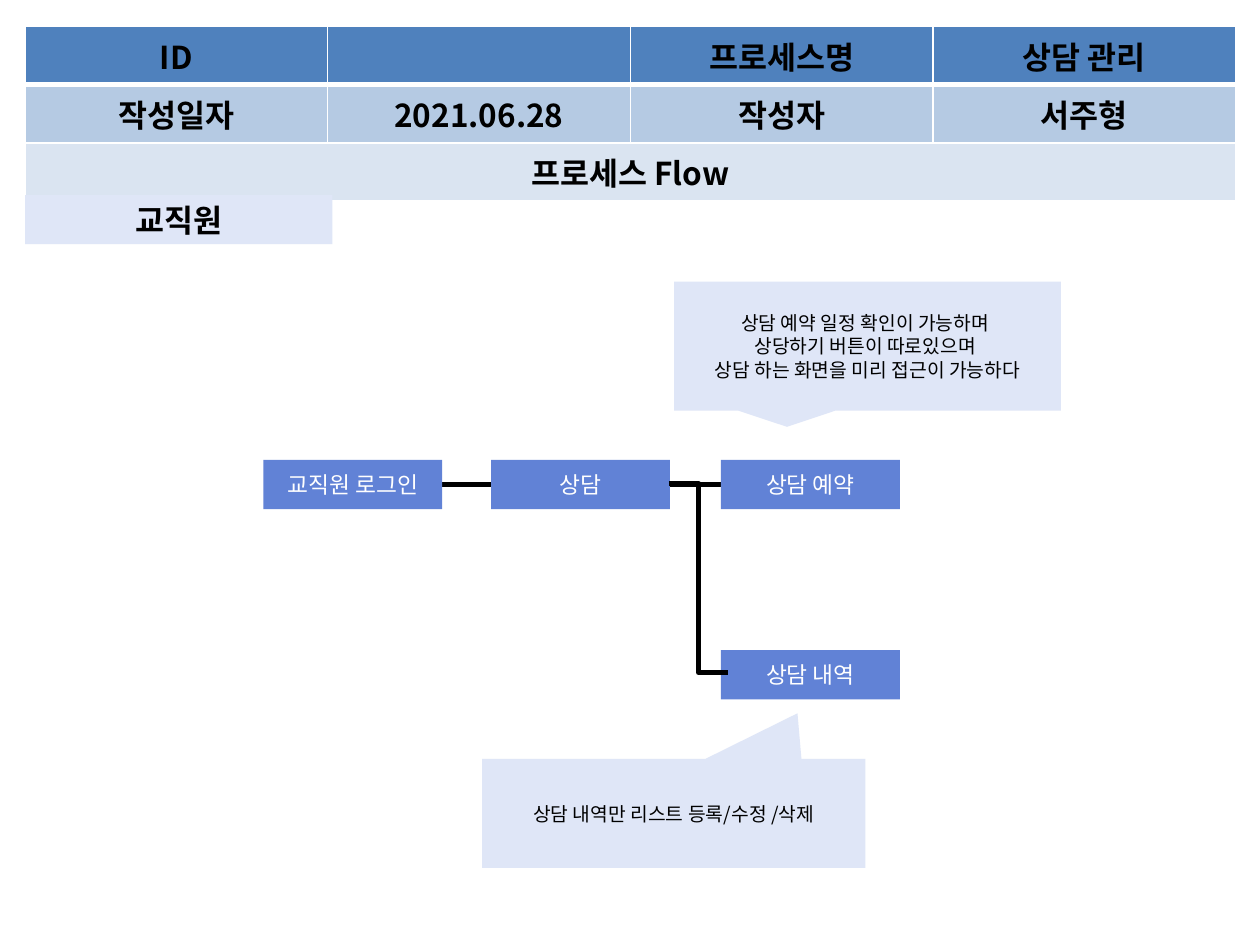
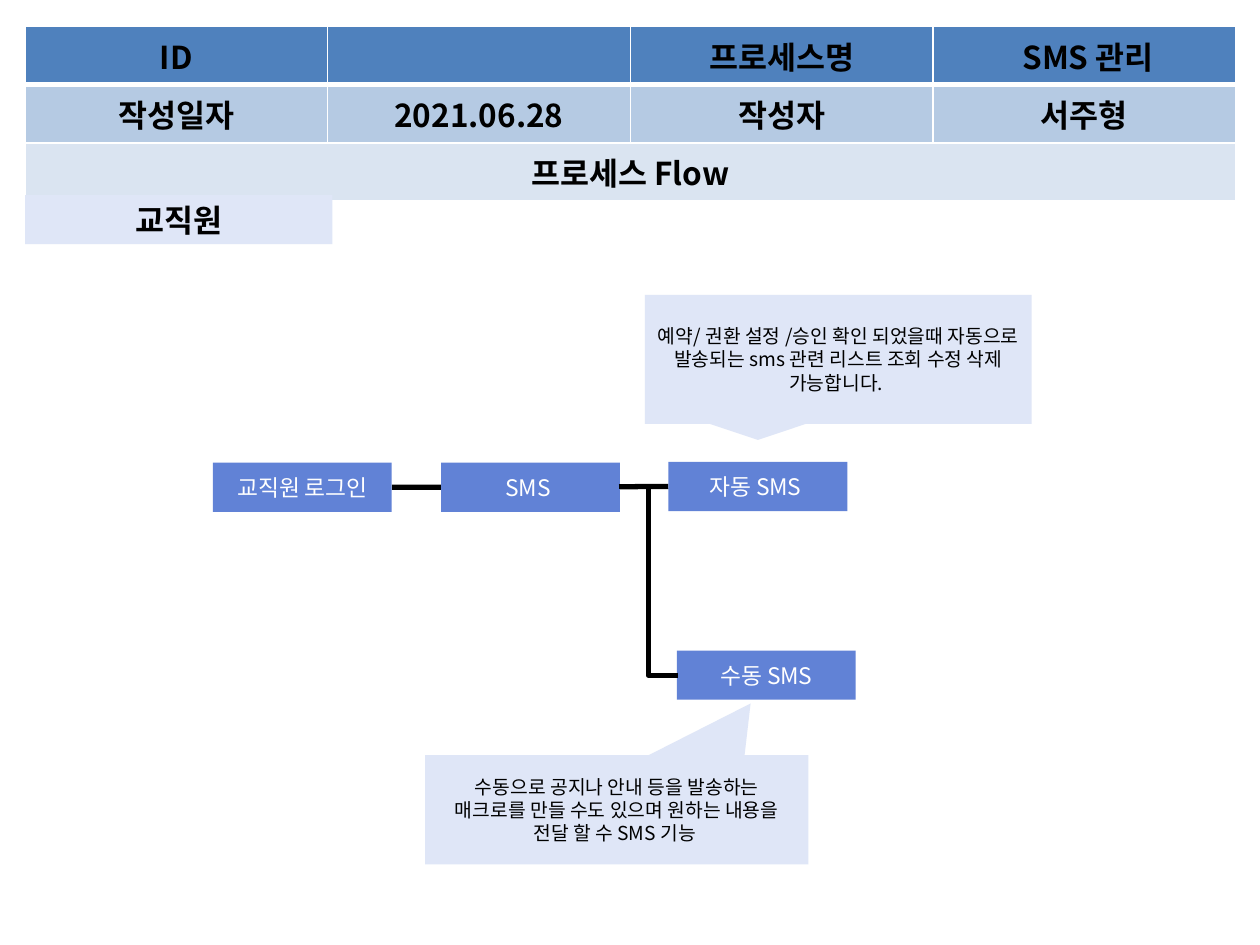
"""Build two process-flow slides for a school administration system."""
from dataclasses import dataclass

from lxml import etree
from pptx import Presentation
from pptx.dml.color import RGBColor
from pptx.enum import shapes, text
from pptx.oxml import ns
from pptx.util import Pt


@dataclass(frozen=True)
class Theme:
    """Colours, type sizes and line widths."""
    font: str = "Noto Sans CJK KR"
    black: str = "000000"
    white: str = "FFFFFF"
    rows: tuple = ("4F81BD", "B5CAE3", "DAE4F1")
    step: str = "6182D6"
    pale: str = "DFE6F7"
    title_size: int = 18
    step_size: int = 13
    note_size: int = 11
    link_width: int = 3


THEME = Theme()
LEFT = 14.4
STEP_WIDTH, STEP_HEIGHT = 102.2, 28.1
COLUMNS = (73.4, 99.4, 173, 173, 173)
ROW_HEIGHT = 29.2
BRANCH_WIDTH, BRANCH_DROP, BRANCH_OVERLAP = 33.8, 108, 0.6

FLOWS = (
    {
        "name": "상담 관리",
        "steps": (
            ("교직원 로그인", 150.5, 262.8),
            ("상담", 280.7, 262.8),
            ("상담 예약", 412, 262.8),
            ("상담 내역", 412, 371.5),
        ),
        "notes": (
            ("상담 예약 일정 확인이 가능하며 \n상당하기 버튼이 따로있으며 \v상담 하는 화면을 미리 접근이 가능하다",
             (385.2, 161, 221, 73.7), (-0.208, 0.625)),
            ("상담 내역만 리스트 등록/수정 /삭제",
             (275.5, 433.6, 219, 62.4), (0.323, -0.917)),
        ),
    },
    {
        "name": " SMS 관리",
        "steps": (
            ("교직원 로그인", 121.7, 264.4),
            ("SMS ", 252, 264.4),
            ("자동 SMS ", 382, 264),
            ("수동 SMS", 386.8, 371.8),
        ),
        "notes": (
            ("예약/ 권환 설정 /승인 확인 되었을때 자동으로 발송되는 sms 관련 리스트 조회 수정 삭제 가능합니다. ",
             (368.6, 168.5, 221, 73.7), (-0.208, 0.625)),
            ("수동으로 공지나 안내 등을 발송하는 매크로를 만들 수도 있으며 원하는 내용을 전달 할 수 SMS 기능 ",
             (243, 431.5, 219, 62.4), (0.349, -0.973)),
        ),
    },
)


def write(frame, words, size, color, bold=False):
    """Fill a text frame with centred, formatted words."""
    frame.text = words
    for para in frame.paragraphs:
        para.alignment = text.PP_ALIGN.CENTER
        for span in para.runs:
            span.font.size = Pt(size)
            span.font.bold = bold
            span.font.color.rgb = RGBColor.from_string(color)
            span.font.name = THEME.font
            east = etree.SubElement(span.font._element, ns.qn("a:ea"))
            east.set("typeface", THEME.font)


def add_box(page, kind, place, fill, words, size, color, bold=False):
    """Add a filled shape without outline that holds centred words."""
    box = page.shapes.add_shape(kind, *map(Pt, place))
    box.shadow.inherit = False
    box.fill.solid()
    box.fill.fore_color.rgb = RGBColor.from_string(fill)
    box.line.fill.background()
    box.text_frame.word_wrap = True
    box.text_frame.vertical_anchor = text.MSO_ANCHOR.MIDDLE
    write(box.text_frame, words, size, color, bold)
    return box


def add_step(page, words, left, top):
    """Add one step of the process."""
    add_box(page, shapes.MSO_SHAPE.RECTANGLE, (left, top, STEP_WIDTH, STEP_HEIGHT),
            THEME.step, words, THEME.step_size, THEME.white)


def add_note(page, words, place, tip):
    """Add a callout whose tip lies at the given share of its size."""
    note = add_box(page, shapes.MSO_SHAPE.RECTANGULAR_CALLOUT, place,
                   THEME.pale, words, THEME.note_size, THEME.black)
    for index, share in enumerate(tip):
        note.adjustments[index] = share


def add_link(page, kind, start, end):
    """Add a black connector between two points."""
    link = page.shapes.add_connector(kind, *map(Pt, (*start, *end)))
    link.line.color.rgb = RGBColor.from_string(THEME.black)
    link.line.width = Pt(THEME.link_width)
    etree.SubElement(link._element.spPr, ns.qn("a:effectLst"))


def set_borders(cell, top, bottom):
    """Draw white borders round a cell, with its top and bottom widths given."""
    properties = cell._tc.get_or_add_tcPr()
    widths = {"lnL": 1, "lnR": 1, "lnT": top, "lnB": bottom}
    for index, (side, width) in enumerate(widths.items()):
        border = etree.Element(ns.qn(f"a:{side}"), w=str(Pt(width)))
        fill = etree.SubElement(border, ns.qn("a:solidFill"))
        etree.SubElement(fill, ns.qn("a:srgbClr"), val=THEME.white)
        properties.insert(index, border)


def add_header(page, name):
    """Add the table that identifies the process."""
    rows = (
        ("ID", "", "", "프로세스명", name),
        ("작성일자", "", "2021.06.28", "작성자", "서주형"),
        ("프로세스 Flow", "", "", "", ""),
    )
    place = (LEFT, 15.1, sum(COLUMNS), ROW_HEIGHT * len(rows))
    table = page.shapes.add_table(len(rows), len(COLUMNS), *map(Pt, place)).table
    table.first_row = table.horz_banding = False
    for column, width in zip(table.columns, COLUMNS):
        column.width = Pt(width)
    for row, words in enumerate(rows):
        table.rows[row].height = Pt(ROW_HEIGHT)
        for column, word in enumerate(words):
            cell = table.cell(row, column)
            cell.fill.solid()
            cell.fill.fore_color.rgb = RGBColor.from_string(THEME.rows[row])
            set_borders(cell, 3 if row == 1 else 1, 3 if row == 0 else 1)
            if word:
                write(cell.text_frame, word, THEME.title_size, THEME.black, True)
    for row, last in enumerate((1, 1, 4)):
        table.cell(row, 0).merge(table.cell(row, last))


def add_flow(page, flow):
    """Add the header, steps, notes and links of one process."""
    first, second, third = flow["steps"][:3]
    middle = STEP_HEIGHT / 2
    add_link(page, shapes.MSO_CONNECTOR.STRAIGHT,
             (first[1] + STEP_WIDTH, first[2] + middle), (third[1], third[2] + middle))
    add_header(page, flow["name"])
    add_box(page, shapes.MSO_SHAPE.RECTANGLE, (LEFT, 111.5, 175.5, STEP_HEIGHT),
            THEME.pale, "교직원", THEME.title_size, THEME.black, True)
    for step in flow["steps"]:
        add_step(page, *step)
    for note in flow["notes"]:
        add_note(page, *note)
    left = second[1] + STEP_WIDTH - BRANCH_OVERLAP
    top = second[2] + middle - BRANCH_OVERLAP
    add_link(page, shapes.MSO_CONNECTOR.ELBOW,
             (left, top), (left + BRANCH_WIDTH, top + BRANCH_DROP))


def main():
    """Build and save the deck."""
    deck = Presentation()
    deck.slide_width, deck.slide_height = Pt(720), Pt(540)
    for flow in FLOWS:
        add_flow(deck.slides.add_slide(deck.slide_layouts[6]), flow)
    deck.save("out.pptx")


main()
